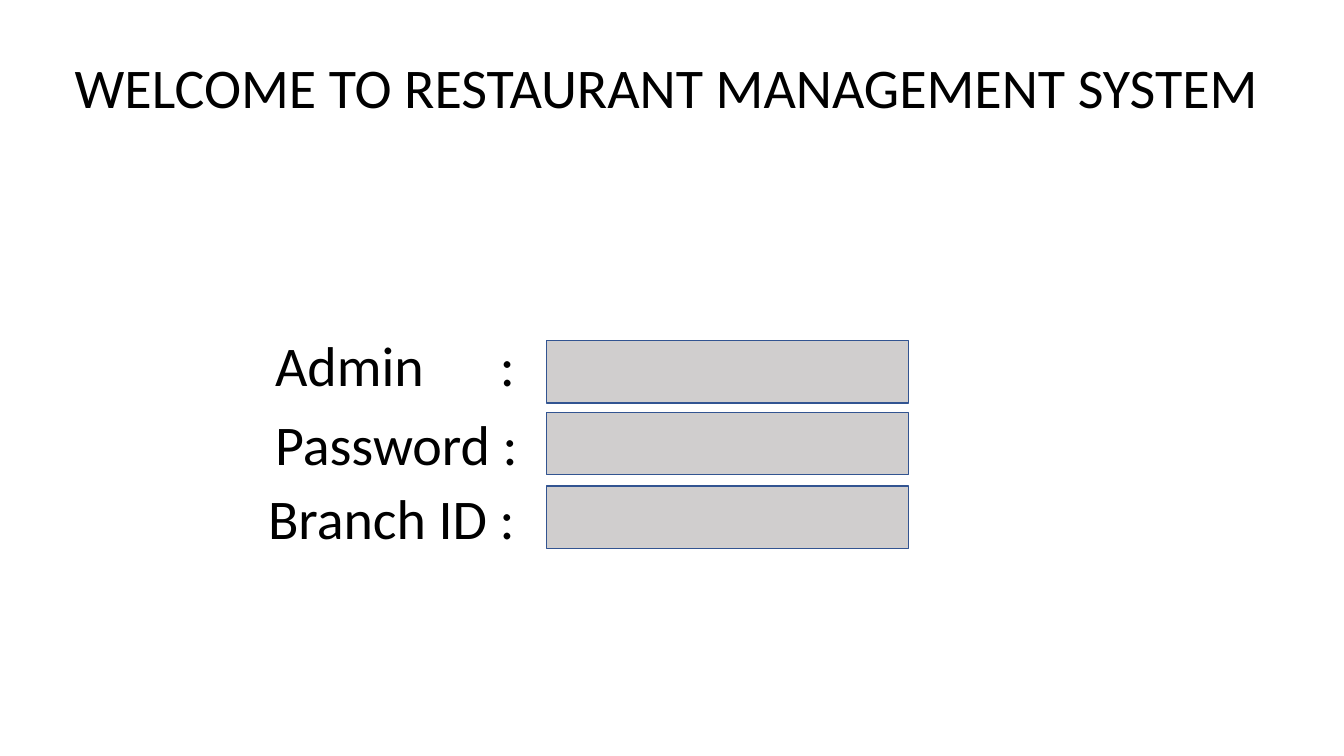
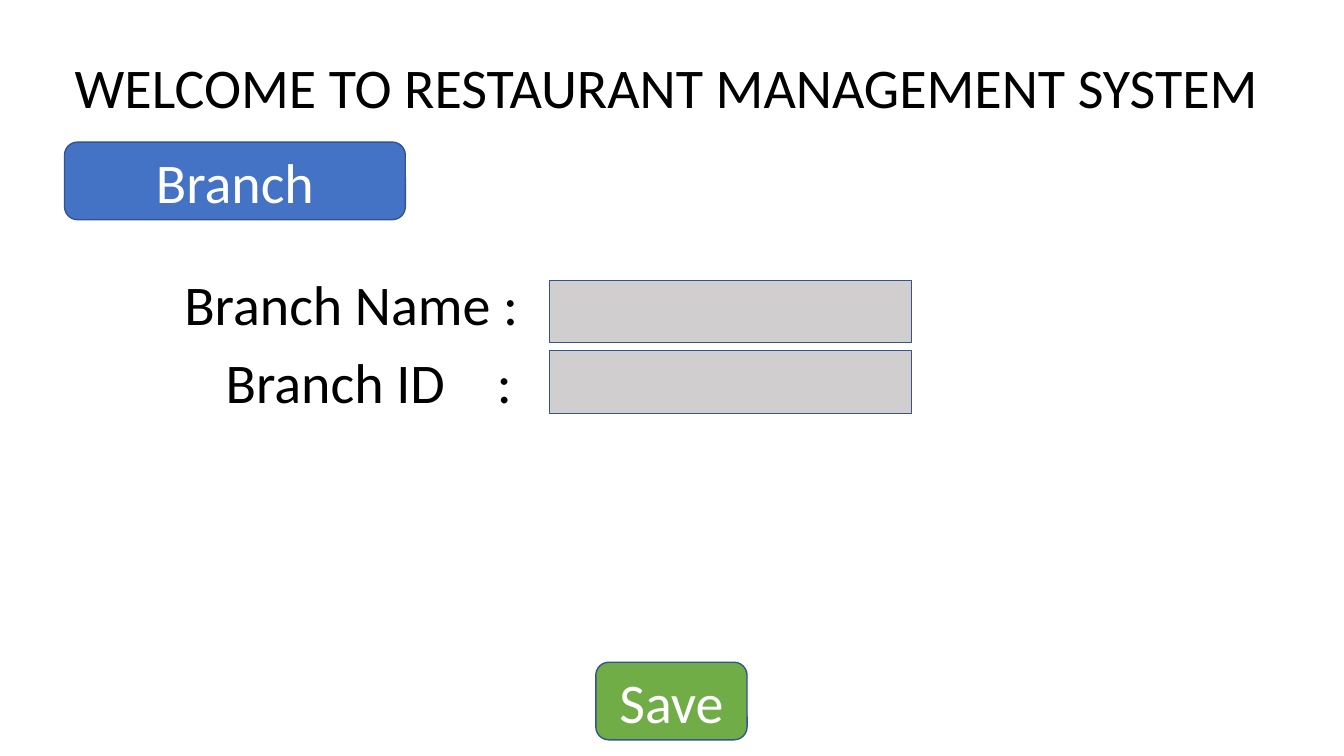
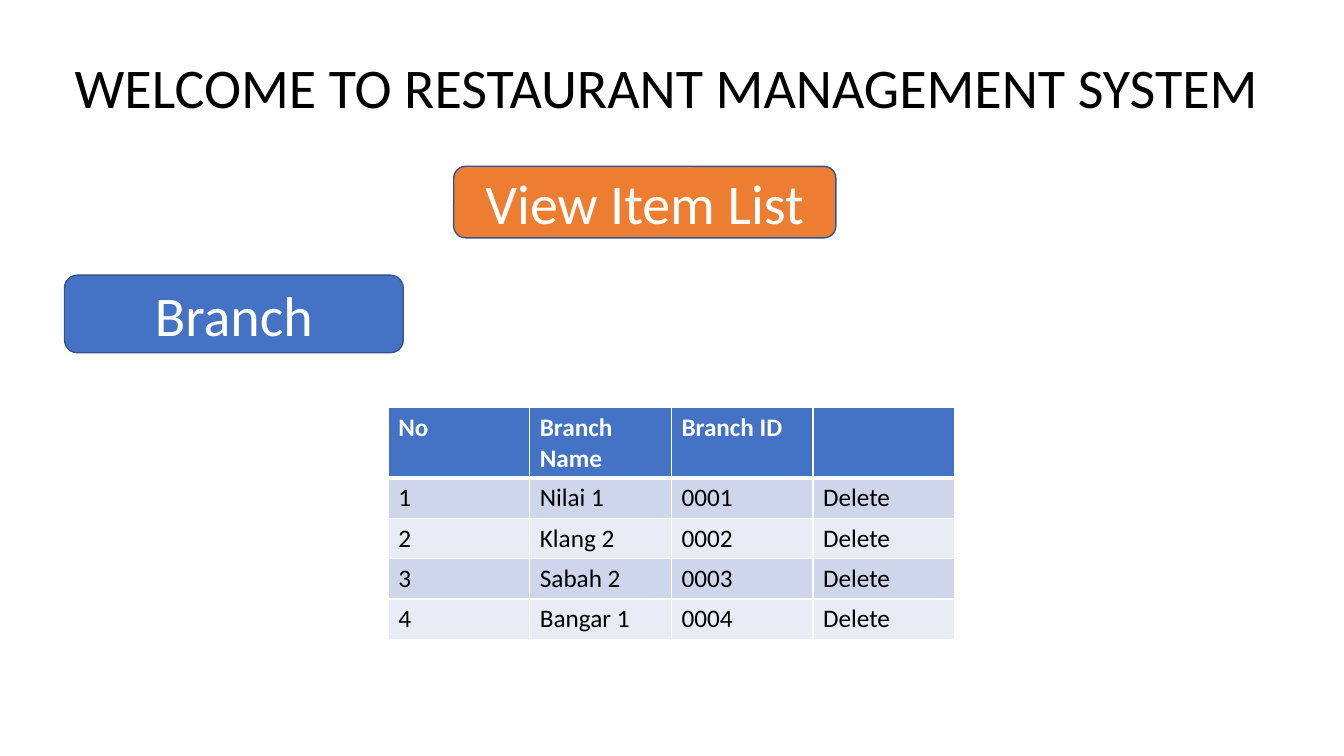
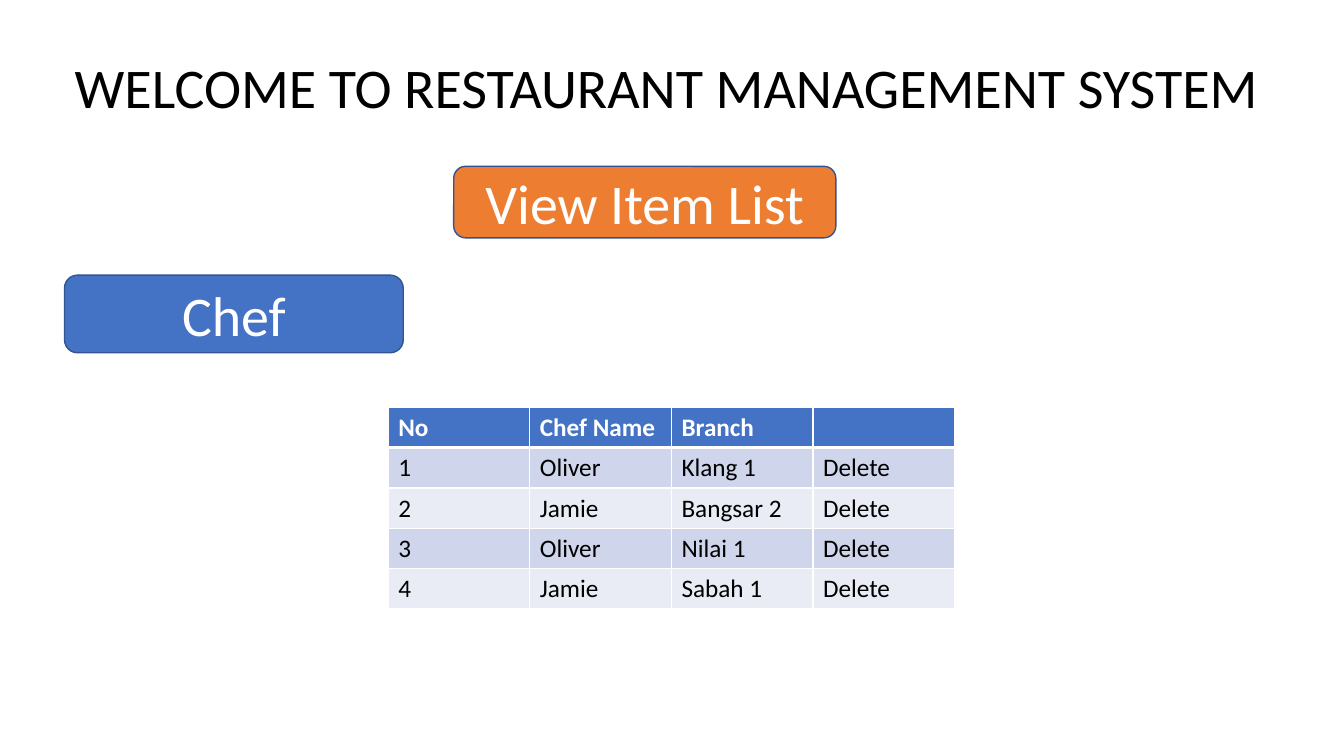
from dataclasses import dataclass

from lxml import etree
from pptx import Presentation
from pptx.dml.color import RGBColor
from pptx.enum.shapes import MSO_SHAPE
from pptx.enum.text import MSO_ANCHOR, MSO_AUTO_SIZE, PP_ALIGN
from pptx.oxml.ns import qn
from pptx.slide import Slide
from pptx.table import _Cell
from pptx.text.text import TextFrame, _Paragraph
from pptx.util import Emu, Pt

RECT = MSO_SHAPE.RECTANGLE
ROUNDED = MSO_SHAPE.ROUNDED_RECTANGLE
TOP, MIDDLE = MSO_ANCHOR.TOP, MSO_ANCHOR.MIDDLE
LEFT, CENTER = PP_ALIGN.LEFT, PP_ALIGN.CENTER
FIT_SHAPE = MSO_AUTO_SIZE.SHAPE_TO_FIT_TEXT

EMU_PER_PX = 9144
TITLE_ONLY = 5
TITLE = "WELCOME TO RESTAURANT MANAGEMENT SYSTEM"


@dataclass(frozen=True)
class Theme:
    font: str = "Calibri"
    large: int = 40
    small: int = 18
    black: str = "000000"
    white: str = "FFFFFF"
    blue: str = "4472C4"
    orange: str = "ED7D31"
    green: str = "70AD47"
    gray: str = "D0CECE"
    outline: str = "325491"
    bands: tuple[str, str] = ("CFD5EA", "E9EBF5")
    line: int = 1
    header_line: int = 3


THEME = Theme()


@dataclass(frozen=True)
class Box:
    x: int
    y: int
    w: int
    h: int

    def emu(self) -> tuple[Emu, Emu, Emu, Emu]:
        return px(self.x), px(self.y), px(self.w), px(self.h)


@dataclass(frozen=True)
class Button:
    text: str
    box: Box
    fill: str


@dataclass(frozen=True)
class Field:
    label: str
    label_box: Box
    input_x: int
    input_y: int
    colon_tab: int = 0


@dataclass(frozen=True)
class Listing:
    button: str
    header_height: int
    rows: tuple[tuple[str, ...], ...]


TITLE_BOX = Box(64, 47, 1234, 77)
VIEW_BUTTON = Button("View Item List", Box(450, 165, 379, 71), THEME.orange)
LISTING_BUTTON_BOX = Box(64, 273, 336, 77)
TABLE_X, TABLE_Y, TABLE_W, ROW_H = 385, 404, 562, 40
INPUT_W, INPUT_H = 359, 62

LOGIN_FIELDS = (
    Field("Admin\t:", Box(263, 323, 317, 77), 542, 338, 223),
    Field("Password :", Box(263, 401, 295, 77), 542, 409),
    Field("Branch ID :", Box(256, 475, 295, 77), 542, 482),
)
BRANCH_FIELDS = (
    Field("Branch Name :", Box(173, 262, 410, 77), 545, 278),
    Field("Branch ID\t:", Box(214, 340, 317, 77), 545, 348, 269),
)
BRANCH_BUTTONS = (
    Button("Branch", Box(64, 141, 338, 77), THEME.blue),
    Button("Save", Box(591, 657, 150, 77), THEME.green),
)
LISTINGS = (
    Listing("Branch", 70, (
        ("No", "Branch Name", "Branch ID", ""),
        ("1", "Nilai 1", "0001", "Delete"),
        ("2", "Klang 2", "0002", "Delete"),
        ("3", "Sabah 2", "0003", "Delete"),
        ("4", "Bangar 1", "0004", "Delete"),
    )),
    Listing("Chef", ROW_H, (
        ("No", "Chef Name", "Branch", ""),
        ("1", "Oliver", "Klang 1", "Delete"),
        ("2", "Jamie", "Bangsar 2", "Delete"),
        ("3", "Oliver", "Nilai 1", "Delete"),
        ("4", "Jamie", "Sabah 1", "Delete"),
    )),
)


def px(n: int) -> Emu:
    return Emu(n * EMU_PER_PX)


def add_run(p: _Paragraph, text: str, color: str, size: int = THEME.large,
            bold: bool = False) -> None:
    r = p.add_run()
    r.text = text
    r.font.name = THEME.font
    r.font.size = Pt(size)
    r.font.bold = bold
    r.font.color.rgb = RGBColor.from_string(color)


def write_line(tf: TextFrame, text: str) -> _Paragraph:
    tf.word_wrap = True
    tf.auto_size = FIT_SHAPE
    tf.vertical_anchor = TOP
    p = tf.paragraphs[0]
    p.alignment = LEFT
    add_run(p, text, THEME.black)
    return p


def new_slide(prs: Presentation) -> Slide:
    s = prs.slides.add_slide(prs.slide_layouts[TITLE_ONLY])
    title = s.shapes.title
    title.left, title.top, title.width, title.height = TITLE_BOX.emu()
    write_line(title.text_frame, TITLE)
    return s


def add_panel(s: Slide, kind: MSO_SHAPE, box: Box, fill: str) -> TextFrame:
    sp = s.shapes.add_shape(kind, *box.emu())
    sp.shadow.inherit = False
    sp.fill.solid()
    sp.fill.fore_color.rgb = RGBColor.from_string(fill)
    sp.line.color.rgb = RGBColor.from_string(THEME.outline)
    sp.line.width = Pt(THEME.line)
    return sp.text_frame


def add_button(s: Slide, button: Button) -> None:
    tf = add_panel(s, ROUNDED, button.box, button.fill)
    tf.vertical_anchor = MIDDLE
    p = tf.paragraphs[0]
    p.alignment = CENTER
    add_run(p, button.text, THEME.white)


def add_field(s: Slide, field: Field) -> None:
    sp = s.shapes.add_textbox(*field.label_box.emu())
    p = write_line(sp.text_frame, field.label)
    if field.colon_tab:
        tabs = etree.SubElement(p._p.get_or_add_pPr(), qn("a:tabLst"))
        etree.SubElement(tabs, qn("a:tab"), pos=str(px(field.colon_tab)), algn="l")
    add_panel(s, RECT, Box(field.input_x, field.input_y, INPUT_W, INPUT_H), THEME.gray)


def set_borders(cell: _Cell, top: int, bottom: int) -> None:
    props = cell._tc.get_or_add_tcPr()
    widths = {"lnL": THEME.line, "lnR": THEME.line, "lnT": top, "lnB": bottom}
    for tag, width in widths.items():
        ln = etree.SubElement(props, qn(f"a:{tag}"), w=str(Pt(width)))
        fill = etree.SubElement(ln, qn("a:solidFill"))
        etree.SubElement(fill, qn("a:srgbClr"), val=THEME.white)


def add_listing_table(s: Slide, listing: Listing) -> None:
    rows = listing.rows
    height = listing.header_height + ROW_H * (len(rows) - 1)
    box = Box(TABLE_X, TABLE_Y, TABLE_W, height)
    table = s.shapes.add_table(len(rows), len(rows[0]), *box.emu()).table
    for i, row in enumerate(rows):
        header = i == 0
        table.rows[i].height = px(listing.header_height if header else ROW_H)
        fill = THEME.blue if header else THEME.bands[(i - 1) % 2]
        color = THEME.white if header else THEME.black
        top = THEME.header_line if i == 1 else THEME.line
        bottom = THEME.header_line if header else THEME.line
        for j, text in enumerate(row):
            cell = table.cell(i, j)
            set_borders(cell, top, bottom)
            cell.fill.solid()
            cell.fill.fore_color.rgb = RGBColor.from_string(fill)
            if text:
                add_run(cell.text_frame.paragraphs[0], text, color, THEME.small, header)


def add_form_slide(prs: Presentation, fields: tuple[Field, ...],
                   buttons: tuple[Button, ...] = ()) -> None:
    s = new_slide(prs)
    for field in fields:
        add_field(s, field)
    for button in buttons:
        add_button(s, button)


def add_listing_slide(prs: Presentation, listing: Listing) -> None:
    s = new_slide(prs)
    add_button(s, VIEW_BUTTON)
    add_button(s, Button(listing.button, LISTING_BUTTON_BOX, THEME.blue))
    add_listing_table(s, listing)


def main() -> None:
    prs = Presentation()
    prs.slide_width, prs.slide_height = px(1333), px(750)
    add_form_slide(prs, LOGIN_FIELDS)
    add_form_slide(prs, BRANCH_FIELDS, BRANCH_BUTTONS)
    for listing in LISTINGS:
        add_listing_slide(prs, listing)
    prs.save("out.pptx")


if __name__ == "__main__":
    main()
